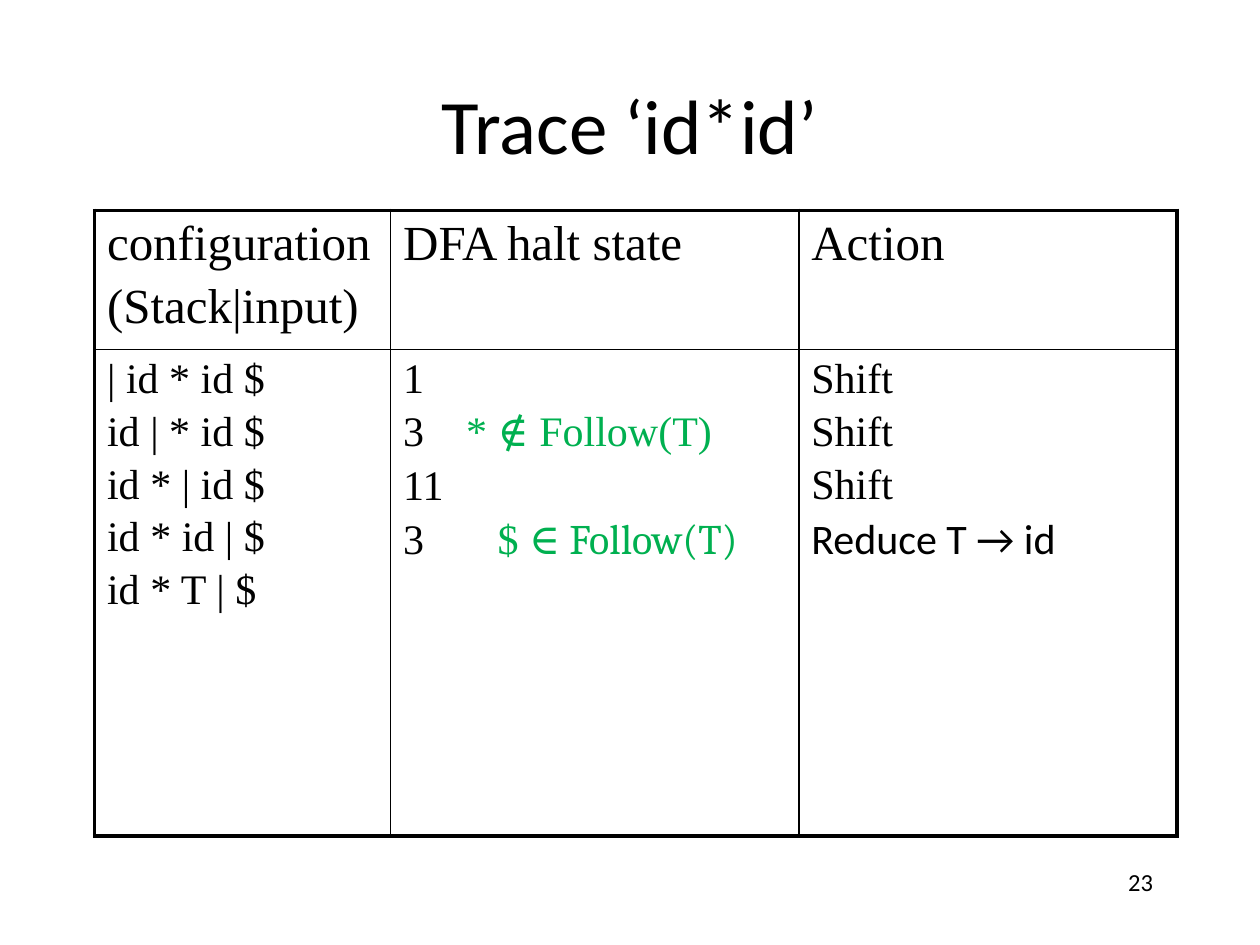
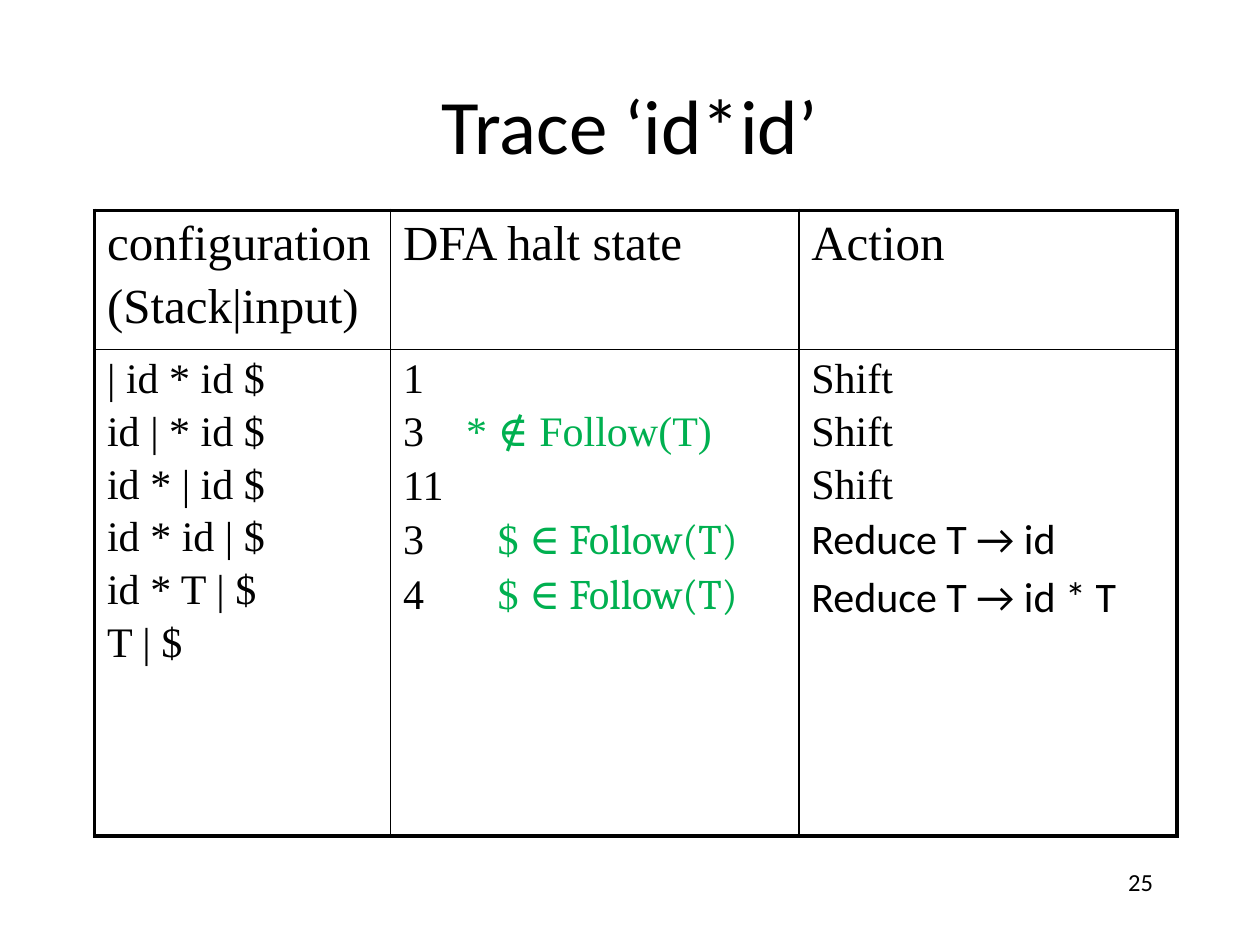
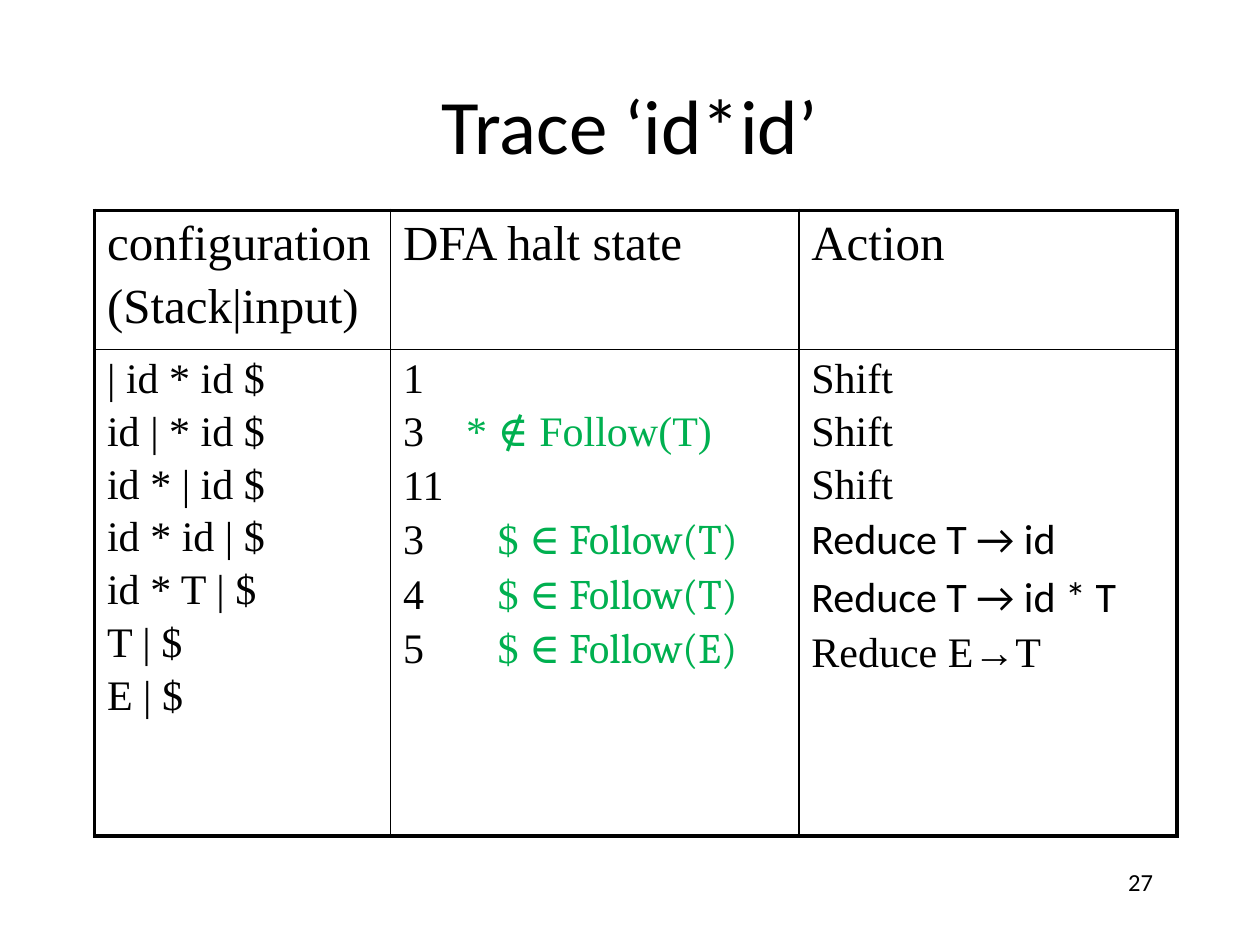
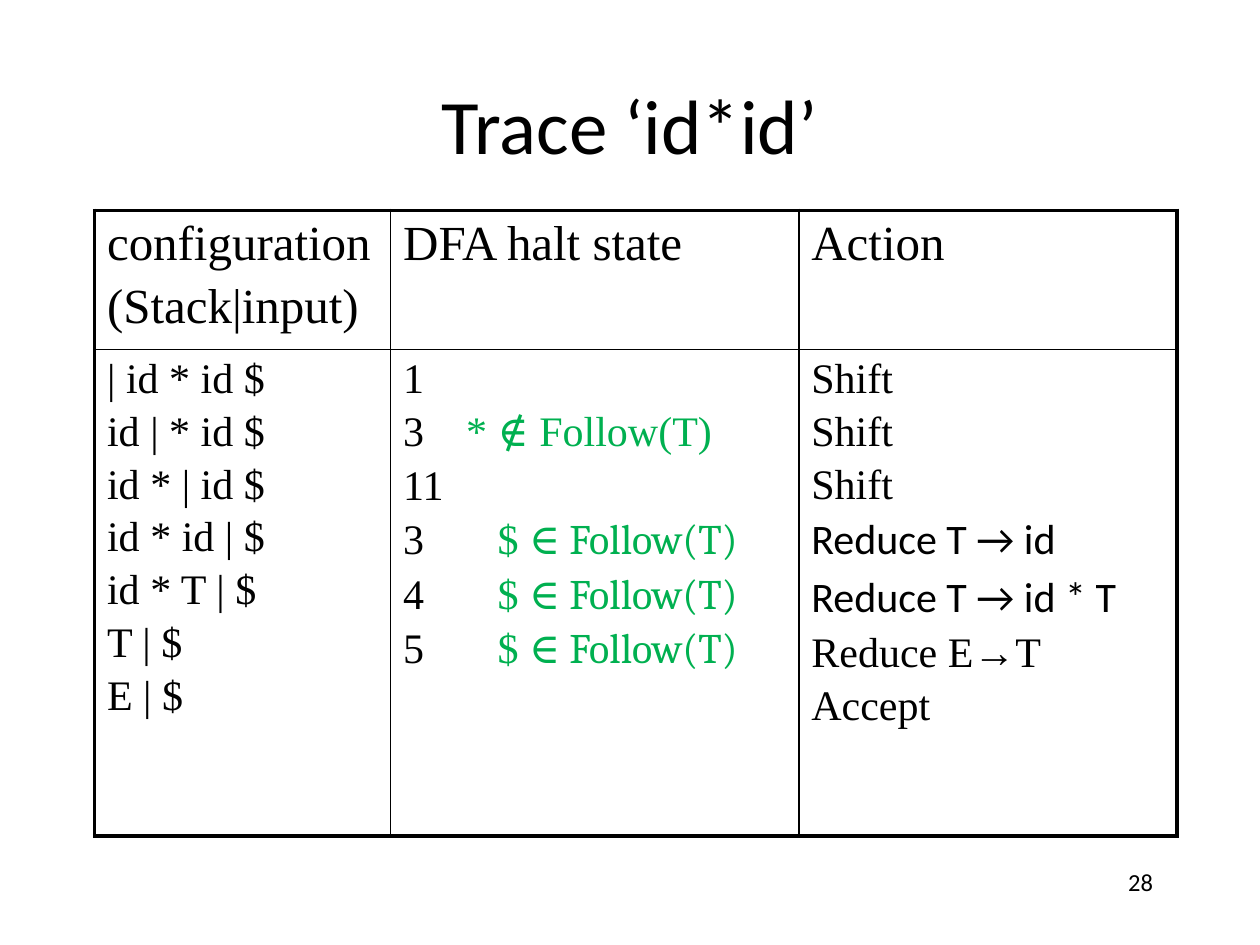
import lxml.etree
import pptx
import pptx.dml.color
import pptx.enum.text
import pptx.oxml.ns
import pptx.util

Inches = pptx.util.Inches
qn = pptx.oxml.ns.qn

COLORS = {"ink": "000000", "reason": "00B050"}
SERIF, SANS, MATH = "Times New Roman", "Calibri", "Cambria"
THICK, THIN = 2.25, 1
COLUMN_WIDTHS = [2.35, 3.24, 3]
ROW_HEIGHTS = [1.04, 3.86]
HEADER_SIZE, BODY_SIZE = 28, 24
SPACE_BEFORE = {HEADER_SIZE: 5, BODY_SIZE: 3.7}
HEADINGS = [["configuration", "(Stack|input)"], ["DFA halt state"], ["Action"]]

CONFIGURATIONS = ["| id * id $", "id | * id $", "id * | id $", "id * id | $",
                  "id * T | $", "T | $", "E | $"]
ACTIONS = [("Shift", SERIF), ("Shift", SERIF), ("Shift", SERIF),
           ("Reduce T → id", SANS), ("Reduce T → id * T", SANS),
           ("Reduce E→T", SERIF), ("Accept", SERIF)]
NOT_IN_FOLLOW = [("\t* ", SERIF), ("∉", MATH), (" Follow(T)", SERIF)]
IN_FOLLOW_T = [("\t$ ", SERIF), ("∈ Follow(T)", MATH)]
IN_FOLLOW_E = [("\t$ ", SERIF), ("∈ Follow(E)", MATH)]
# DFA state, tab stop of the reason in inches, reason
STATES = [("1", 0, []), ("3", 0.5, NOT_IN_FOLLOW), ("11", 0, []),
          ("3", 0.75, IN_FOLLOW_T), ("4", 0.75, IN_FOLLOW_T)]
STATES_E = STATES + [("5", 0.75, IN_FOLLOW_E)]
STATES_T = STATES + [("5", 0.75, IN_FOLLOW_T)]

# page number, configurations shown, states shown, actions shown
PAGES = [(23, 5, STATES[:4], 4), (25, 6, STATES, 5),
         (27, 7, STATES_E, 6), (28, 7, STATES_T, 7)]


def write(para, text, font=SERIF, size=BODY_SIZE, color="ink"):
    span = para.add_run()
    span.text = text
    span.font.name = font
    span.font.size = pptx.util.Pt(size)
    span.font.color.rgb = pptx.dml.color.RGBColor.from_string(COLORS[color])


def fill_cell(cell, lines, size):
    """Write one paragraph per line; a line is a tab stop and its spans."""
    for index, (tab_stop, spans) in enumerate(lines):
        para = cell.text_frame.paragraphs[0] if index == 0 else cell.text_frame.add_paragraph()
        if tab_stop:
            tabs = lxml.etree.SubElement(para._p.get_or_add_pPr(), qn("a:tabLst"))
            lxml.etree.SubElement(tabs, qn("a:tab"), pos=str(Inches(tab_stop)), algn="l")
        if index:
            para.space_before = pptx.util.Pt(SPACE_BEFORE[size])
        for text, font, color in spans:
            write(para, text, font=font, size=size, color=color)


deck = pptx.Presentation()
deck.slide_width, deck.slide_height = Inches(10), Inches(7.5)

for number, configuration_count, states, action_count in PAGES:
    page = deck.slides.add_slide(deck.slide_layouts[5])

    title = page.shapes.title
    title.left, title.top = Inches(0.75), Inches(0.36)
    title.width, title.height = Inches(8.5), Inches(1.25)
    title.text_frame.vertical_anchor = pptx.enum.text.MSO_ANCHOR.MIDDLE
    para = title.text_frame.paragraphs[0]
    para.alignment = pptx.enum.text.PP_ALIGN.CENTER
    write(para, "Trace ‘id*id’", font=SANS, size=44)

    box = page.shapes.add_textbox(Inches(7.17), Inches(6.83), Inches(2.08), Inches(0.5))
    box.text_frame.word_wrap = True
    para = box.text_frame.paragraphs[0]
    para.alignment = pptx.enum.text.PP_ALIGN.RIGHT
    write(para, str(number), font=SANS, size=14)

    table = page.shapes.add_table(2, 3, Inches(0.75), Inches(1.67),
                                  Inches(sum(COLUMN_WIDTHS)), Inches(sum(ROW_HEIGHTS))).table
    table.first_row = table.horz_banding = False
    for column, width in zip(table.columns, COLUMN_WIDTHS):
        column.width = Inches(width)
    for row, height in zip(table.rows, ROW_HEIGHTS):
        row.height = Inches(height)

    for row in range(2):
        for column in range(3):
            cell = table.cell(row, column)
            properties = cell._tc.get_or_add_tcPr()
            outer_sides = [("L", column == 0), ("R", column == 2), ("T", row == 0), ("B", row == 1)]
            for side, is_outer in outer_sides:
                width = pptx.util.Pt(THICK if is_outer else THIN)
                line = lxml.etree.SubElement(properties, qn(f"a:ln{side}"), w=str(width))
                solid = lxml.etree.SubElement(line, qn("a:solidFill"))
                lxml.etree.SubElement(solid, qn("a:srgbClr"), val=COLORS["ink"])
            cell.fill.background()

    for column, heading in enumerate(HEADINGS):
        fill_cell(table.cell(0, column), [(0, [(text, SERIF, "ink")]) for text in heading], HEADER_SIZE)

    trace = [
        [(0, [(text, SERIF, "ink")]) for text in CONFIGURATIONS[:configuration_count]],
        [(tab_stop, [(state, SERIF, "ink")] + [(text, font, "reason") for text, font in reason])
         for state, tab_stop, reason in states],
        [(0, [(text, font, "ink")]) for text, font in ACTIONS[:action_count]],
    ]
    for column, lines in enumerate(trace):
        fill_cell(table.cell(1, column), lines, BODY_SIZE)

deck.save("out.pptx")
